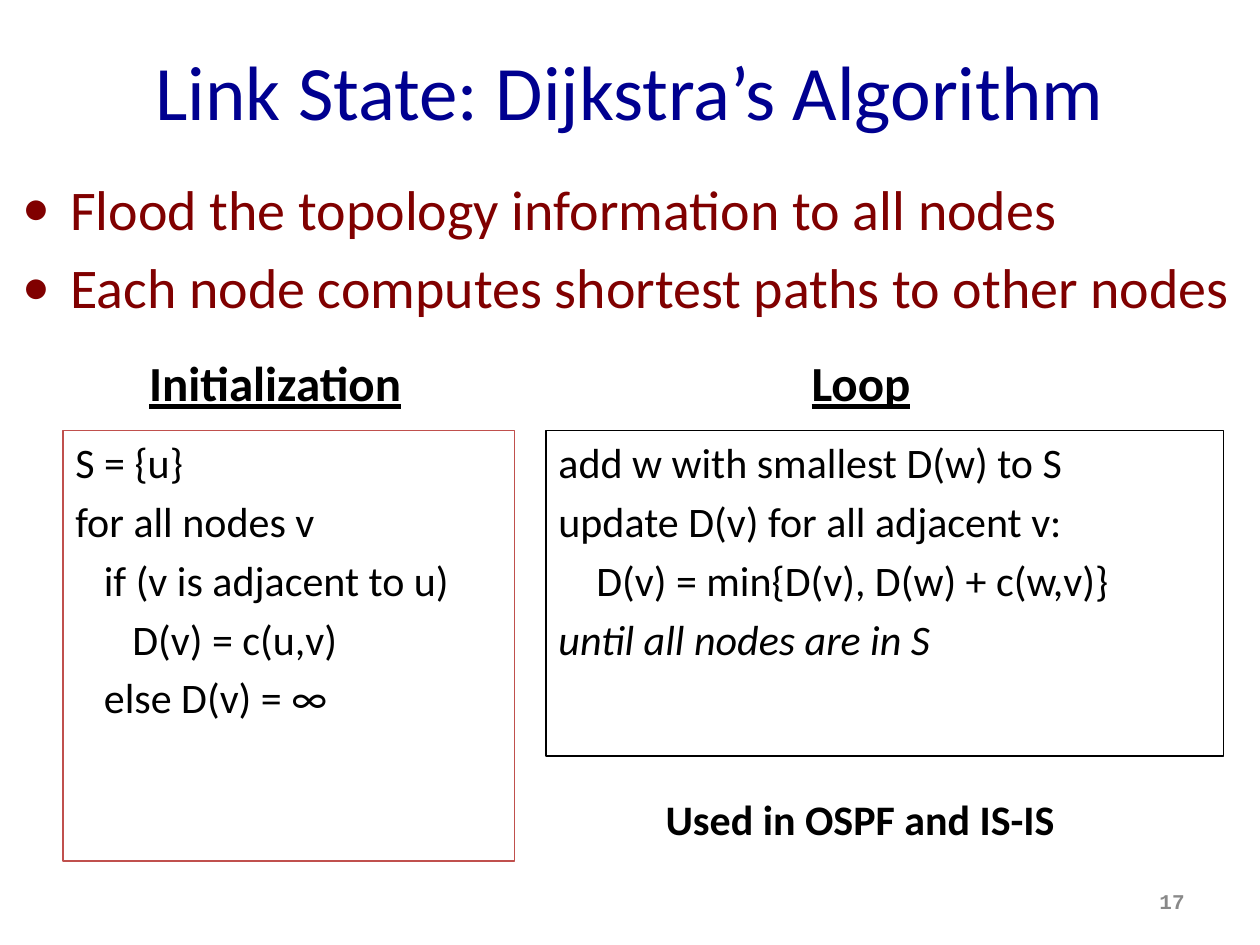
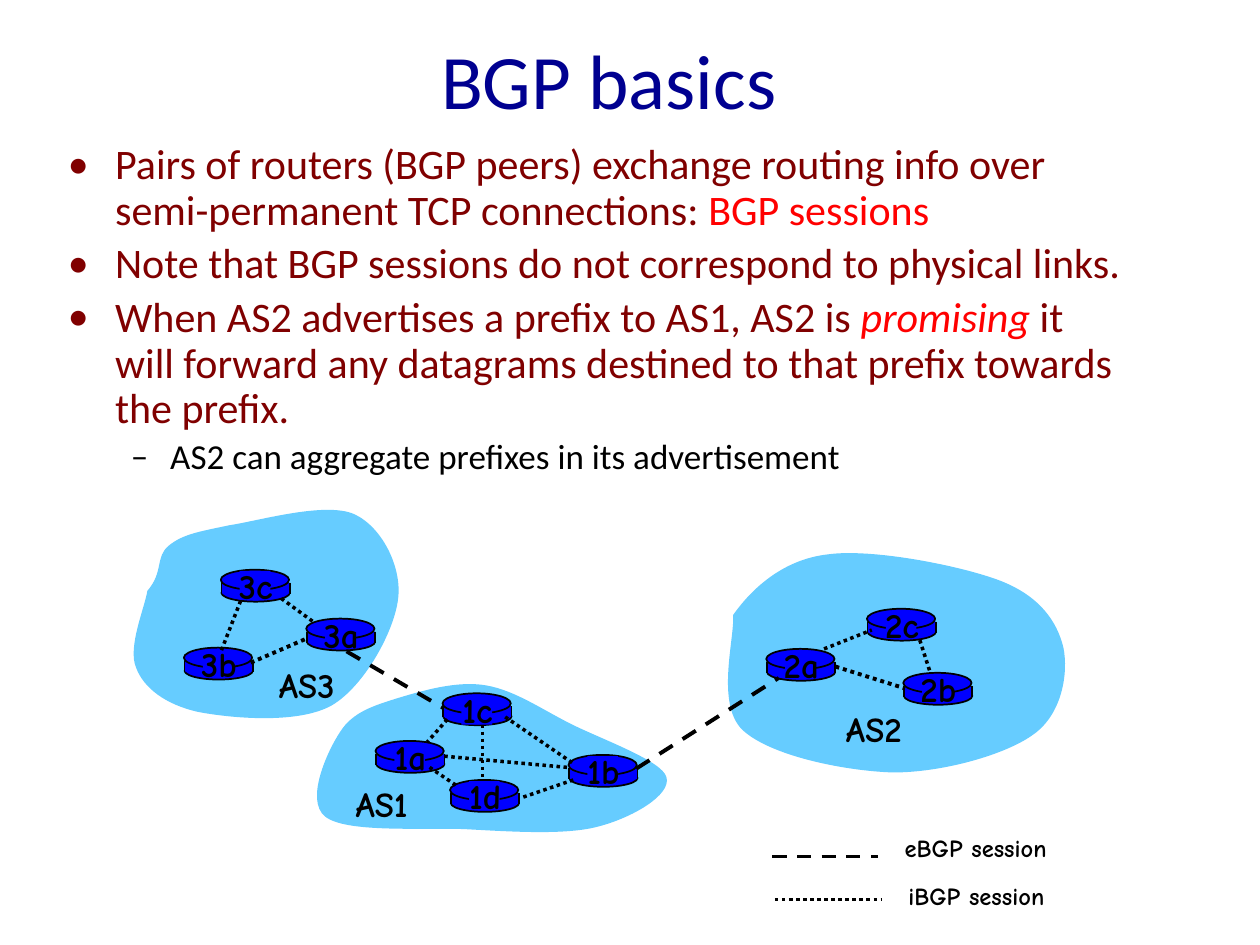
import pptx
import pptx.dml.color
import pptx.enum.dml
import pptx.enum.shapes
import pptx.enum.text
import pptx.oxml.ns
import pptx.util
import lxml.etree

Pt = pptx.util.Pt
qn = pptx.oxml.ns.qn
SHAPE = pptx.enum.shapes.MSO_SHAPE
ALIGN = pptx.enum.text.PP_ALIGN
ANCHOR = pptx.enum.text.MSO_ANCHOR
DASH = pptx.enum.dml.MSO_LINE.DASH
DOT = pptx.enum.dml.MSO_LINE.ROUND_DOT
COLORS = {
    name: pptx.dml.color.RGBColor.from_string(value)
    for name, value in {
        "title": "000090", "bullet": "800000", "accent": "FF0000", "black": "000000",
        "page": "898989", "frame": "C0504D", "cloud": "66CCFF", "router": "0000FF",
    }.items()
}


def write(slide, box, *paragraphs, border=None, wrap=True, anchor=ANCHOR.TOP, **shared):
    place = [Pt(length) for length in box]
    if border:
        holder = slide.shapes.add_shape(SHAPE.RECTANGLE, *place)
        holder.shadow.inherit = False
        holder.fill.background()
        holder.line.color.rgb = COLORS[border]
        holder.line.width = Pt(0.75)
    else:
        holder = slide.shapes.add_textbox(*place)
    frame = holder.text_frame
    frame.word_wrap = wrap
    frame.vertical_anchor = anchor
    if not wrap:
        frame.auto_size = pptx.enum.text.MSO_AUTO_SIZE.SHAPE_TO_FIT_TEXT
    for number, (text, own) in enumerate(paragraphs):
        style = {"font": "Calibri", "color": "black", "align": ALIGN.LEFT, **shared, **own}
        paragraph = frame.paragraphs[0] if number == 0 else frame.add_paragraph()
        paragraph.alignment = style["align"]
        paragraph.line_spacing = style.get("spacing", 1.0)
        properties = paragraph._p.get_or_add_pPr()
        if "hanging" in style:
            paragraph.space_before = Pt(style["size"] * 0.2)
            properties.set("marL", str(Pt(style["left"])))
            properties.set("indent", str(Pt(-style["hanging"])))
        if "bullet" in style:
            lxml.etree.SubElement(properties, qn("a:buFont")).set("typeface", style["font"])
            lxml.etree.SubElement(properties, qn("a:buChar")).set("char", style["bullet"])
        for words, change in [(text, {})] if isinstance(text, str) else text:
            look = {**style, **change}
            run = paragraph.add_run()
            run.text = words
            run.font.name = look["font"]
            run.font.size = Pt(look["size"])
            run.font.color.rgb = COLORS[look["color"]]
            run.font.bold = look.get("bold", False)
            run.font.italic = look.get("italic", False)
            run.font.underline = look.get("underline", False)


def draw_line(slide, start, end, width, dash=None):
    ends = [Pt(length) for length in (*start, *end)]
    line = slide.shapes.add_connector(pptx.enum.shapes.MSO_CONNECTOR.STRAIGHT, *ends)
    line.line.color.rgb = COLORS["black"]
    line.line.width = Pt(width)
    if dash:
        line.line.dash_style = dash
    lxml.etree.SubElement(line._element.spPr, qn("a:effectLst"))


deck = pptx.Presentation()
deck.slide_width = Pt(720)
deck.slide_height = Pt(540)
TITLE = {"size": 44, "color": "title", "align": ALIGN.CENTER, "anchor": ANCHOR.MIDDLE}
BULLETS = {"color": "bullet", "bullet": "•", "left": 27, "hanging": 27}
CODE = {"size": 24, "left": 27, "hanging": 27}
HEADING = {"bold": True, "align": ALIGN.CENTER, "wrap": False}
SKETCH = {**HEADING, "font": "Comic Neue"}

dijkstra = deck.slides.add_slide(deck.slide_layouts[6])
write(dijkstra, (36, 6, 648, 90), ("Link State: Dijkstra’s Algorithm", {}), **TITLE)
write(dijkstra, (6, 96, 720, 114),
      ("Flood the topology information to all nodes", {}),
      ("Each node computes shortest paths to other nodes", {}),
      size=32, **BULLETS)
write(dijkstra, (516, 500.5, 168, 29), ("17", {}), size=12, font="Courier New",
      color="page", bold=True, align=ALIGN.RIGHT, anchor=ANCHOR.MIDDLE)
write(dijkstra, (36, 246, 258, 246),
      ("S = {u}", {}),
      ("for all nodes v", {}),
      ("if (v is adjacent to u)", {"left": 43.3}),
      ("D(v) = c(u,v)", {"left": 59.6}),
      ("else D(v) = ∞", {"left": 43.3}),
      border="frame", **CODE)
write(dijkstra, (312, 246, 387, 186),
      ("add w with smallest D(w) to S", {}),
      ("update D(v) for all adjacent v:", {}),
      ("D(v) = min{D(v), D(w) + c(w,v)}", {"left": 48.7}),
      ("until all nodes are in S", {"italic": True}),
      border="black", **CODE)
write(dijkstra, (77, 198, 160.5, 41), ("Initialization", {}), size=28, underline=True, **HEADING)
write(dijkstra, (456, 198, 72, 41), ("Loop", {}), size=28, underline=True, **HEADING)
write(dijkstra, (372, 450, 239, 36.5), ("Used in OSPF and IS-IS", {}), size=24, **HEADING)

bgp = deck.slides.add_slide(deck.slide_layouts[6])
write(bgp, (42, 0, 612, 90), ("BGP basics", {}), **TITLE)
write(bgp, (31.7, 78.5, 622, 182),
      ([("Pairs of routers (BGP peers) exchange routing info over semi-permanent TCP connections: ", {}),
        ("BGP sessions", {"color": "accent"})], {}),
      ("Note that BGP sessions do not correspond to physical links.", {}),
      ([("When AS2 advertises a prefix to AS1, AS2 is ", {}),
        ("promising", {"color": "accent", "italic": True}),
        (" it will forward any datagrams destined to that prefix towards the prefix.", {})], {}),
      ("AS2 can aggregate prefixes in its advertisement",
       {"size": 20, "color": "black", "bullet": "–", "left": 58.5, "hanging": 22.5}),
      size=24, spacing=0.9, **BULLETS)

clouds = [
    [(419, 351.4), (429.1, 337), (447.1, 319.7), (473, 316.8), (498.2, 313.2), (549.4, 323.3),
     (571.7, 331.9), (594, 340.6), (604.1, 355), (607.7, 370.1), (610.6, 384.5), (607, 408.2),
     (590.4, 419.8), (574.6, 431.3), (538.6, 441.4), (510.5, 441.4), (483.1, 440.6),
     (439.9, 432), (424.1, 416.9), (409, 401.8), (419.8, 365), (419, 351.4)],
    [(84.2, 337.7), (93.6, 326.9), (88.6, 318.2), (96.5, 311.8), (104.4, 305.3), (113.8, 303.8),
     (131, 300.2), (149, 297.4), (185.8, 286.6), (202.3, 293.8), (218.2, 301), (229.7, 324),
     (227.5, 342), (225.4, 360.7), (208.1, 392.4), (189.4, 403.2), (169.9, 414), (131.8, 410.4),
     (113, 406.8), (94.3, 402.5), (82.1, 393.1), (77.8, 381.6), (72.7, 370.1), (82.8, 347),
     (84.2, 337.7)],
    [(194.4, 418.3), (201.6, 406.8), (213.8, 403.2), (227.5, 398.9), (241.9, 394.6),
     (261.4, 388.8), (277.9, 391.7), (294.5, 394.6), (309.6, 405.4), (326.9, 414), (344.2, 422.6),
     (378.7, 434.9), (380.9, 444.2), (383.8, 454.3), (361.4, 467.3), (342, 472.3), (323.3, 477.4),
     (291.6, 475.2), (265, 473.8), (239, 473), (197.3, 475.9), (185.8, 466.6), (174.2, 457.2),
     (187.2, 429.1), (194.4, 418.3)],
]
for knots in clouds:
    start, *controls = [(Pt(x), Pt(y)) for x, y in knots]
    builder = bgp.shapes.build_freeform(*start)
    builder.add_line_segments(controls, close=True)
    cloud = builder.convert_to_shape()
    cloud.shadow.inherit = False
    cloud.fill.solid()
    cloud.fill.fore_color.rgb = COLORS["cloud"]
    cloud.line.fill.background()
    segments = list(cloud._element.iter(qn("a:lnTo")))
    for first in range(0, len(segments), 3):
        curve = lxml.etree.Element(qn("a:cubicBezTo"))
        segments[first].addprevious(curve)
        for segment in segments[first:first + 3]:
            curve.append(segment[0])
            segment.getparent().remove(segment)

routers = [
    ("3b", 105.1, 370.1, 1.4, 15.8), ("1d", 257.2, 445.7, 0.7, 16.6),
    ("3a", 175, 353.5, 1.4, 13.7), ("1c", 252.9, 396.2, 1.4, 16.6),
    ("2a", 437.9, 370.8, 1.4, 15.1), ("1a", 214.6, 423.4, 2.9, 12.2),
    ("2c", 495.4, 347.9, 2.2, 14.4), ("2b", 516.2, 384.5, 1.4, 13.7),
    ("1b", 324.9, 431.4, 0.7, 16.6), ("3c", 126.2, 325.6, 0.7, 16.6),
]
for router, x, y, plate_top, plate_height in routers:
    router_parts = [
        (SHAPE.OVAL, 0.4, 8.2, 39, 10, True),
        (SHAPE.RECTANGLE, 0.4, 7.4, 39, 6.3, False),
        (SHAPE.OVAL, 0, 0, 39, 11.5, True),
        (SHAPE.RECTANGLE, 10.8, plate_top, 17.5, plate_height, False),
    ]
    for kind, dx, dy, width, height, outlined in router_parts:
        part = bgp.shapes.add_shape(kind, Pt(x + dx), Pt(y + dy), Pt(width), Pt(height))
        part.shadow.inherit = False
        part.fill.solid()
        part.fill.fore_color.rgb = COLORS["router"]
        if outlined:
            part.line.color.rgb = COLORS["black"]
            part.line.width = Pt(1)
        else:
            part.line.fill.background()
    for side in (x + 0.4, x + 39.4):
        draw_line(bgp, (side, y + 7.4), (side, y + 13.7), 1)
    label_width = 33.8 + 2.9 * (router[0] != "1") + 1.8 * (router[1] in "bd")
    write(bgp, (x + 20 - label_width / 2, y - 6.5, label_width, 31), (router, {}),
          size=20, **SKETCH)

for system, x, y, width in [("AS3", 147.6, 375.8, 55.4), ("AS1", 192.2, 443.5, 51.8),
                            ("AS2", 473.8, 401, 51.1)]:
    write(bgp, (x, y, width, 31), (system, {}), size=20, **SKETCH)

sessions = [
    (2.25, DASH, [((198, 372.2), (253.4, 404.6)), ((363.6, 439.2), (445, 387.4))]),
    (2.25, DOT, [((477.4, 380.9), (516.2, 393.1)), ((143.3, 378.7), (175, 365))]),
    (2, DOT, [
        ((255.6, 411.1), (244.1, 424.1)), ((275.8, 414), (275.8, 445)),
        ((288.7, 409.7), (327.6, 436.3)), ((327.6, 445.7), (298.1, 455.8)),
        ((324, 438.5), (252.7, 432)), ((470.9, 370.8), (498.2, 360)),
        ((178.6, 355), (159.8, 341.3)), ((137.5, 343.4), (126, 373)),
        ((525.6, 365.8), (531.4, 383.8)), ((245.5, 438.5), (261.4, 449.3)),
    ]),
]
for width, dash, links in sessions:
    for start, end in links:
        draw_line(bgp, start, end, width, dash)

for session, dash, x, y, label_x, label_y, label_width in [
        ("eBGP session", DASH, 441.4, 489.5, 508.3, 472.3, 98.6),
        ("iBGP session", DOT, 442.8, 514, 510.5, 499.7, 95)]:
    draw_line(bgp, (x, y), (x + 60.5, y), 2, dash)
    write(bgp, (label_x, label_y, label_width, 24), (session, {}), size=14, **SKETCH)

deck.save("out.pptx")
